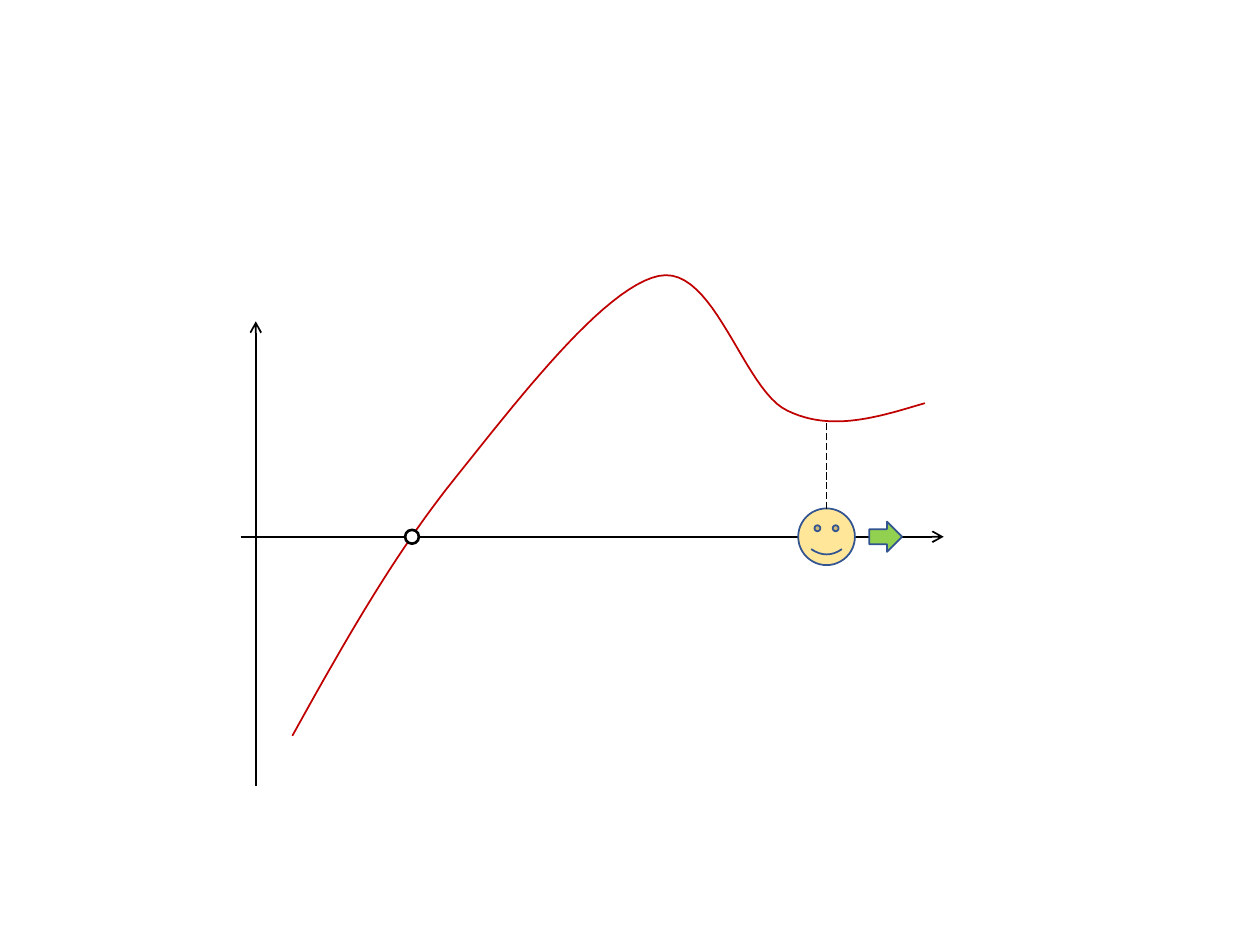
from dataclasses import dataclass

from pptx import Presentation
from pptx.dml.color import RGBColor
from pptx.enum.dml import MSO_LINE_DASH_STYLE as Dash
from pptx.enum.shapes import MSO_CONNECTOR as Connector, MSO_SHAPE as Shape
from pptx.oxml.ns import qn
from pptx.util import Inches, Pt
from lxml.etree import SubElement


@dataclass(frozen=True)
class Theme:
    axis: str = "000000"
    curve: str = "C00000"
    marker: str = "FFFFFF"
    face: str = "FFE699"
    arrow: str = "92D050"
    outline: str = "325491"
    thin: float = 0.5
    normal: float = 1
    thick: float = 1.5


THEME = Theme()
AXIS_X, AXIS_Y, FACE_X = 2.03, 4.26, 6.56
CURVE_START = (2.32, 5.84)
CURVE = [
    ((2.72, 5.12), (3.12, 4.41), (3.6, 3.81)),
    ((4.09, 3.2), (4.79, 2.28), (5.23, 2.19)),
    ((5.67, 2.1), (5.9, 3.1), (6.25, 3.26)),
    ((6.6, 3.43), (6.97, 3.31), (7.34, 3.2)),
]
STEPS = 24


def style_line(line, color, width, dash=None):
    line.color.rgb = RGBColor.from_string(color)
    formats = {"width": Pt(width), "dash_style": dash}
    for name, value in formats.items():
        setattr(line, name, value)


def add_line(s, start, end, width, dash=None, arrow=False):
    points = [Inches(v) for v in (*start, *end)]
    cxn = s.shapes.add_connector(Connector.STRAIGHT, *points)
    style_line(cxn.line, THEME.axis, width, dash)
    if arrow:
        SubElement(cxn.line._get_or_add_ln(), qn("a:tailEnd"), type="arrow")
    SubElement(cxn._element.spPr, qn("a:effectLst"))


def add_symbol(s, kind, center, size, fill, color, width):
    left, top = (c - d / 2 for c, d in zip(center, size))
    sp = s.shapes.add_shape(kind, *(Inches(v) for v in (left, top, *size)))
    sp.shadow.inherit = False
    sp.fill.solid()
    sp.fill.fore_color.rgb = RGBColor.from_string(fill)
    style_line(sp.line, color, width)


def bezier(points, t):
    weights = ((1 - t) ** 3, 3 * t * (1 - t) ** 2, 3 * t**2 * (1 - t), t**3)
    return tuple(
        Inches(sum(w * v for w, v in zip(weights, axis))) for axis in zip(*points)
    )


def add_curve(s, start, segments):
    builder = s.shapes.build_freeform(*(Inches(v) for v in start))
    for segment in segments:
        points = (start, *segment)
        builder.add_line_segments(
            [bezier(points, i / STEPS) for i in range(1, STEPS + 1)], close=False
        )
        start = segment[-1]
    sp = builder.convert_to_shape()
    sp.shadow.inherit = False
    sp.fill.background()
    style_line(sp.line, THEME.curve, THEME.normal)


def main():
    prs = Presentation()
    prs.slide_width, prs.slide_height = Inches(10), Inches(7.5)
    s = prs.slides.add_slide(prs.slide_layouts[6])

    add_line(s, (AXIS_X, 6.24), (AXIS_X, 2.55), THEME.normal, arrow=True)
    add_line(s, (1.91, AXIS_Y), (7.49, AXIS_Y), THEME.normal, arrow=True)
    add_curve(s, CURVE_START, CURVE)

    symbols = [
        (Shape.OVAL, 3.27, (0.11, 0.11), THEME.marker, THEME.axis, THEME.thick),
        (Shape.SMILEY_FACE, FACE_X, (0.45, 0.45), THEME.face, THEME.outline, THEME.normal),
        (Shape.RIGHT_ARROW, 7.03, (0.26, 0.24), THEME.arrow, THEME.outline, THEME.normal),
    ]
    for kind, x, *look in symbols:
        add_symbol(s, kind, (x, AXIS_Y), *look)
    add_line(s, (FACE_X, 4.04), (FACE_X, 3.36), THEME.thin, dash=Dash.LONG_DASH)

    prs.save("out.pptx")


if __name__ == "__main__":
    main()
